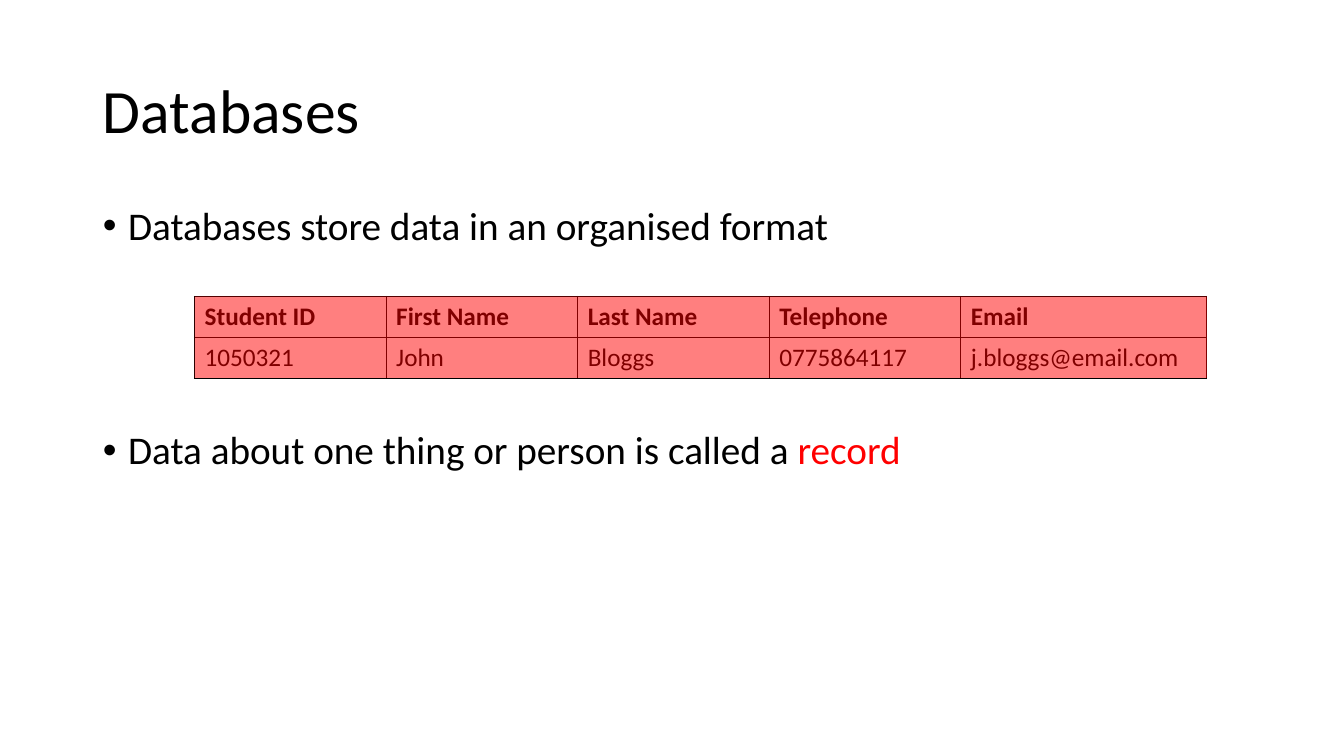
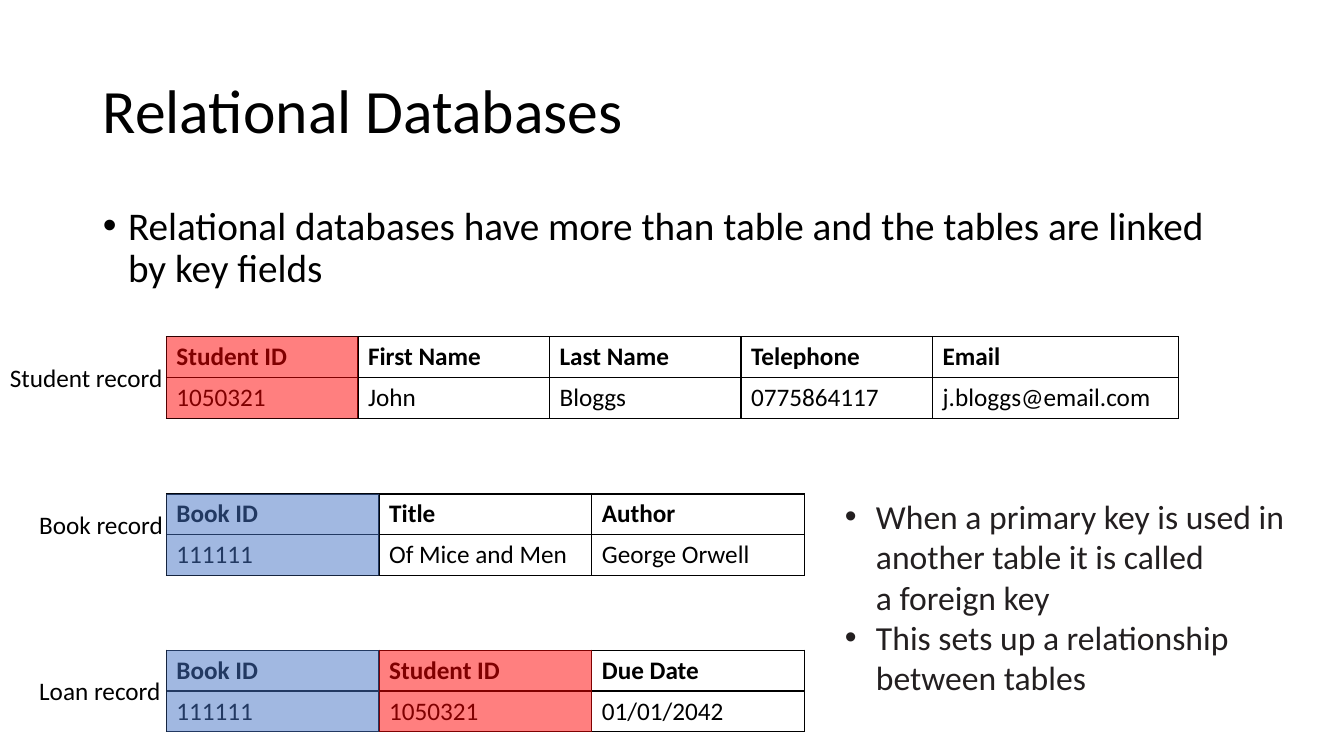
"""Build two slides on records and key fields in databases."""
from dataclasses import dataclass
from itertools import accumulate

from lxml import etree
from pptx import Presentation
from pptx.dml.color import RGBColor
from pptx.enum.shapes import MSO_SHAPE
from pptx.enum.text import MSO_ANCHOR, MSO_AUTO_SIZE, PP_ALIGN
from pptx.oxml.ns import qn
from pptx.util import Inches, Pt

RECTANGLE = MSO_SHAPE.RECTANGLE
MIDDLE, TOP = MSO_ANCHOR.MIDDLE, MSO_ANCHOR.TOP
NO_AUTOFIT = MSO_AUTO_SIZE.NONE
LEFT = PP_ALIGN.LEFT

BLACK = RGBColor(0x00, 0x00, 0x00)
CHARCOAL = RGBColor(0x23, 0x1F, 0x20)
RED = RGBColor(0xFF, 0x00, 0x00)
BLUE = RGBColor(0x44, 0x72, 0xC4)
FONT = "Calibri"
ROW_HEIGHT = 0.405
BODY_INDENT = 0.25
NOTE_INDENT = 0.31
TITLE_AND_CONTENT = 1

STUDENT_WIDTHS = (1.9, 1.9, 1.9, 1.9, 2.44)
STUDENT_FIELDS = ("Student ID", "First Name", "Last Name", "Telephone", "Email")
STUDENT_VALUES = ("1050321", "John", "Bloggs", "0775864117", "j.bloggs@email.com")
LIBRARY_WIDTHS = (2.11, 2.11, 2.11)


@dataclass(frozen=True)
class Highlight:
    """A tint over neighbouring columns of a record."""
    color: RGBColor
    first: int = 0
    count: int = 1


@dataclass(frozen=True)
class Caption:
    """A label beside a record."""
    text: str
    left: float
    top: float
    width: float


@dataclass(frozen=True)
class Record:
    """A one-record table with its tinted fields."""
    left: float
    top: float
    widths: tuple[float, ...]
    fields: tuple[str, ...]
    values: tuple[str, ...]
    highlights: tuple[Highlight, ...]
    caption: Caption | None = None


DATABASE_RECORD = Record(1.93, 2.94, STUDENT_WIDTHS, STUDENT_FIELDS, STUDENT_VALUES,
                         (Highlight(RED, count=len(STUDENT_FIELDS)),))
RELATED_RECORDS = (
    Record(1.65, 3.34, STUDENT_WIDTHS, STUDENT_FIELDS, STUDENT_VALUES,
           (Highlight(RED),), Caption("Student record", 0, 3.55, 1.73)),
    Record(1.65, 4.9, LIBRARY_WIDTHS, ("Book ID", "Title", "Author"),
           ("111111", "Of Mice and Men", "George Orwell"),
           (Highlight(BLUE),), Caption("Book record", 0.29, 5, 1.44)),
    Record(1.65, 6.45, LIBRARY_WIDTHS, ("Book ID", "Student ID", "Due Date"),
           ("111111", "1050321", "01/01/2042"),
           (Highlight(BLUE), Highlight(RED, first=1)),
           Caption("Loan record", 0.29, 6.65, 1.42)),
)
FOREIGN_KEY_NOTES = (
    "When a primary key is used in another table it is called a\u00a0foreign key",
    "This sets up a relationship between tables",
)


def write(paragraph, text: str, *, size: float = 18, color: RGBColor = BLACK,
          bold: bool = False) -> None:
    """Append a formatted run to a paragraph."""
    run = paragraph.add_run()
    run.text = text
    run.font.name = FONT
    run.font.size = Pt(size)
    run.font.bold = bold
    run.font.color.rgb = color


def add_bullet(paragraph, indent: float) -> None:
    """Give a paragraph a round bullet with a hanging indent."""
    properties = paragraph._p.get_or_add_pPr()
    properties.set("marL", str(Inches(indent)))
    properties.set("indent", str(-Inches(indent)))
    etree.SubElement(properties, qn("a:buFont"), typeface="Arial")
    etree.SubElement(properties, qn("a:buChar"), char="\u2022")


def next_paragraph(frame, index: int):
    """Return the first paragraph of a frame, or a new one after it."""
    return frame.add_paragraph() if index else frame.paragraphs[0]


def place(shape, left: float, top: float, width: float, height: float) -> None:
    """Move and size a placeholder."""
    shape.left, shape.top = Inches(left), Inches(top)
    shape.width, shape.height = Inches(width), Inches(height)


def start_slide(deck, title: str):
    """Add a slide with the shared title style and body position."""
    slide = deck.slides.add_slide(deck.slide_layouts[TITLE_AND_CONTENT])
    heading, body = slide.shapes.title, slide.placeholders[1]
    place(heading, 0.92, 0.4, 11.5, 1.45)
    place(body, 0.92, 2, 11.5, 4.76)
    for placeholder, anchor in ((heading, MIDDLE), (body, TOP)):
        placeholder.text_frame.auto_size = NO_AUTOFIT
        placeholder.text_frame.vertical_anchor = anchor
    paragraph = heading.text_frame.paragraphs[0]
    paragraph.alignment = LEFT
    paragraph.line_spacing = 0.9
    write(paragraph, title, size=44)
    return slide


def add_point(slide, index: int, text: str, *, key_term: str = "",
              space_before: float = 10) -> None:
    """Add a body bullet that may end in a red key term."""
    paragraph = next_paragraph(slide.placeholders[1].text_frame, index)
    paragraph.line_spacing = 0.9
    paragraph.space_before = Pt(space_before)
    add_bullet(paragraph, BODY_INDENT)
    write(paragraph, text, size=28)
    if key_term:
        write(paragraph, key_term, size=28, color=RED)


def add_text_box(slide, left: float, top: float, width: float, height: float,
                 wrap: bool):
    """Add a text box and return its frame."""
    box = slide.shapes.add_textbox(Inches(left), Inches(top), Inches(width), Inches(height))
    box.text_frame.word_wrap = wrap
    return box.text_frame


def format_cell(cell) -> None:
    """Give a cell black borders and no fill."""
    properties = cell._tc.get_or_add_tcPr()
    for side in ("lnL", "lnR", "lnT", "lnB"):
        border = etree.SubElement(properties, qn(f"a:{side}"), w=str(Pt(1)))
        fill = etree.SubElement(border, qn("a:solidFill"))
        etree.SubElement(fill, qn("a:srgbClr"), val=str(BLACK))
    cell.fill.background()


def draw_highlight(slide, record: Record, highlight: Highlight) -> None:
    """Lay a half-transparent tint over columns of a record."""
    edges = list(accumulate(record.widths, initial=record.left))
    left, right = edges[highlight.first], edges[highlight.first + highlight.count]
    tint = slide.shapes.add_shape(RECTANGLE, Inches(left), Inches(record.top),
                                  Inches(right - left), Inches(2 * ROW_HEIGHT))
    tint.shadow.inherit = False
    tint.line.fill.background()
    tint.fill.solid()
    tint.fill.fore_color.rgb = highlight.color
    color = tint._element.spPr.find(f"{qn('a:solidFill')}/{qn('a:srgbClr')}")
    etree.SubElement(color, qn("a:alpha"), val="50000")


def draw_record(slide, record: Record) -> None:
    """Draw a record's table, caption and highlights."""
    rows = (record.fields, record.values)
    table = slide.shapes.add_table(
        len(rows), len(record.fields), Inches(record.left), Inches(record.top),
        Inches(sum(record.widths)), Inches(len(rows) * ROW_HEIGHT)).table
    table.first_row = table.horz_banding = False
    for column, width in zip(table.columns, record.widths):
        column.width = Inches(width)
    for row_index, texts in enumerate(rows):
        for column_index, text in enumerate(texts):
            cell = table.cell(row_index, column_index)
            format_cell(cell)
            write(cell.text_frame.paragraphs[0], text, bold=row_index == 0)
    if record.caption:
        caption = record.caption
        frame = add_text_box(slide, caption.left, caption.top, caption.width, 0.4, wrap=False)
        write(frame.paragraphs[0], caption.text)
    for highlight in record.highlights:
        draw_highlight(slide, record, highlight)


def build_databases(deck) -> None:
    """Build the slide that introduces a record."""
    slide = start_slide(deck, "Databases")
    add_point(slide, 0, "Databases store data in an organised format")
    add_point(slide, 1, "Data about one thing or person is called a ",
              key_term="record", space_before=130)
    draw_record(slide, DATABASE_RECORD)


def build_relational_databases(deck) -> None:
    """Build the slide that links records by key fields."""
    slide = start_slide(deck, "Relational Databases")
    add_point(slide, 0, "Relational databases have more than table and "
                        "the tables are linked by key fields")
    for record in RELATED_RECORDS:
        draw_record(slide, record)
    notes = add_text_box(slide, 8.28, 4.87, 4.85, 2.12, wrap=True)
    for index, text in enumerate(FOREIGN_KEY_NOTES):
        paragraph = next_paragraph(notes, index)
        add_bullet(paragraph, NOTE_INDENT)
        write(paragraph, text, size=24, color=CHARCOAL)


def main() -> None:
    """Build and save the presentation."""
    deck = Presentation()
    deck.slide_width, deck.slide_height = Inches(13.33), Inches(7.5)
    build_databases(deck)
    build_relational_databases(deck)
    deck.save("out.pptx")


main()
